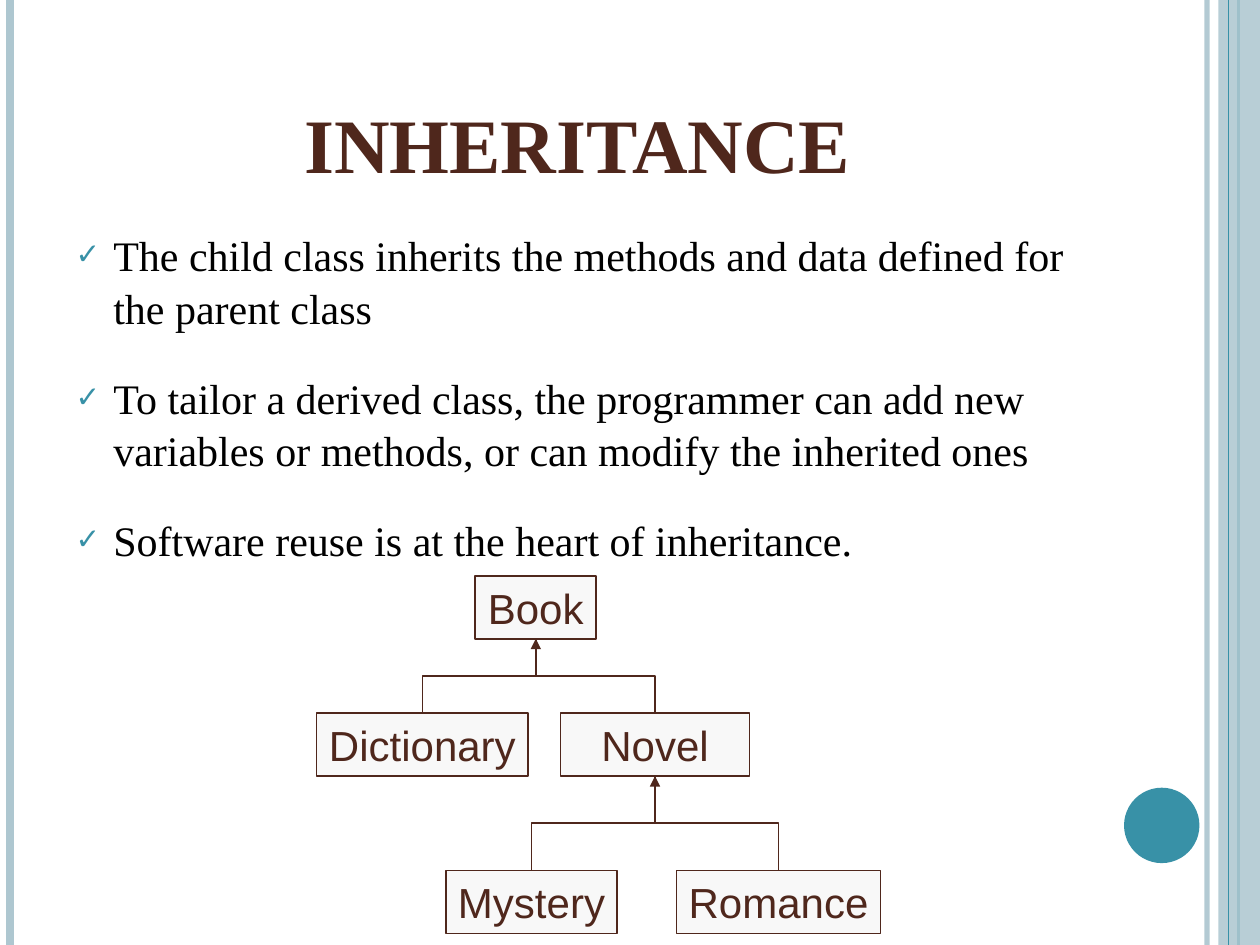
from dataclasses import dataclass

from lxml.etree import SubElement
from pptx import Presentation
from pptx.dml.color import RGBColor
from pptx.enum.shapes import MSO_CONNECTOR as Connector, MSO_SHAPE as Preset
from pptx.enum.text import MSO_ANCHOR as Anchor, PP_ALIGN as Align
from pptx.oxml.ns import qn
from pptx.util import Cm, Pt


@dataclass(frozen=True)
class Theme:
    """Colours, fonts and type sizes of the slide."""
    band: str = "AEC7D0"
    accent: str = "3891A7"
    brown: str = "4F271C"
    box: str = "F8F8F8"
    body: str = "000000"
    serif: str = "Times New Roman"
    sans: str = "Arial"
    title_size: int = 44
    text_size: int = 24


def write_text(paragraph, text, *, font, size, color, bold=False, align=Align.LEFT):
    """Add a formatted run to a paragraph."""
    paragraph.alignment = align
    run = paragraph.add_run()
    run.text = text
    run.font.name = font
    run.font.size = Pt(size)
    run.font.bold = bold
    run.font.color.rgb = RGBColor.from_string(color)


def set_alpha(properties, percent):
    """Make the colour inside a fill or line partly transparent."""
    color = next(properties.iter(qn("a:srgbClr")))
    SubElement(color, qn("a:alpha"), val=str(percent * 1000))


def place(shape, left, top, width, height):
    """Move and size a shape, in centimetres."""
    shape.left, shape.top = Cm(left), Cm(top)
    shape.width, shape.height = Cm(width), Cm(height)


class SlideBuilder:
    """Draws styled elements on the current slide."""

    def __init__(self, slide, theme):
        self.slide = slide
        self.theme = theme

    def title(self, text, *box):
        """Fill the title placeholder."""
        shape = self.slide.shapes.title
        place(shape, *box)
        shape.text_frame.vertical_anchor = Anchor.BOTTOM
        write_text(shape.text_frame.paragraphs[0], text, font=self.theme.serif,
                   size=self.theme.title_size, color=self.theme.brown,
                   bold=True, align=Align.CENTER)

    def checklist(self, items, *box):
        """Fill the body placeholder with check-marked paragraphs."""
        shape = self.slide.placeholders[1]
        place(shape, *box)
        frame = shape.text_frame
        for index, item in enumerate(items):
            paragraph = frame.add_paragraph() if index else frame.paragraphs[0]
            paragraph.space_before = Pt(21)
            paragraph.line_spacing = 1.05
            write_text(paragraph, item, font=self.theme.serif,
                       size=self.theme.text_size, color=self.theme.body)
            self.check_mark(paragraph)

    def check_mark(self, paragraph):
        """Give a paragraph a hanging check mark."""
        properties = paragraph._p.get_or_add_pPr()
        properties.set("marL", str(Cm(0.76)))
        properties.set("indent", str(Cm(-0.76)))
        color = SubElement(properties, qn("a:buClr"))
        SubElement(color, qn("a:srgbClr"), val=self.theme.accent)
        SubElement(properties, qn("a:buSzPct"), val="70000")
        SubElement(properties, qn("a:buFont"), typeface="Wingdings 2")
        properties[-1].set("typeface", self.theme.sans)
        SubElement(properties, qn("a:buChar"), char="✓")

    def shape(self, preset, *box, fill, line=None, alpha=100):
        """Add a flat preset shape."""
        shape = self.slide.shapes.add_shape(preset, *map(Cm, box))
        shape.shadow.inherit = False
        shape.fill.solid()
        shape.fill.fore_color.rgb = RGBColor.from_string(fill)
        if alpha < 100:
            set_alpha(shape._element.spPr, alpha)
        if line:
            shape.line.color.rgb = RGBColor.from_string(line)
            shape.line.width = Pt(1)
        else:
            shape.line.fill.background()
        return shape

    def class_box(self, name, *box):
        """Add a labelled class box."""
        shape = self.shape(Preset.RECTANGLE, *box, fill=self.theme.box, line=self.theme.brown)
        shape.text_frame.word_wrap = False
        shape.text_frame.vertical_anchor = Anchor.MIDDLE
        write_text(shape.text_frame.paragraphs[0], name, font=self.theme.sans,
                   size=self.theme.text_size, color=self.theme.brown, align=Align.CENTER)
        return shape

    def line(self, kind, *ends, color, width, alpha=100, arrow=False):
        """Add a connector without a shadow."""
        connector = self.slide.shapes.add_connector(kind, *ends)
        connector.line.color.rgb = RGBColor.from_string(color)
        connector.line.width = Pt(width)
        properties = connector._element.spPr
        if alpha < 100:
            set_alpha(properties, alpha)
        if arrow:
            SubElement(properties.find(qn("a:ln")), qn("a:tailEnd"), type="triangle")
        SubElement(properties, qn("a:effectLst"))
        return connector

    def stripe(self, x, color, width, alpha=100):
        """Add a vertical line over the full slide height."""
        self.line(Connector.STRAIGHT, Cm(x), 0, Cm(x), Cm(19.05),
                  color=color, width=width, alpha=alpha)

    def inherit(self, child, parent, arrow):
        """Join the top of a child to the bottom of its parent by an elbow."""
        start_x, start_y = child.left + child.width // 2, child.top
        end_x, end_y = parent.left + parent.width // 2, parent.top + parent.height
        middle_x, middle_y = (start_x + end_x) // 2, (start_y + end_y) // 2
        turn = 1 if start_x < end_x else -1
        half_x = turn * (end_y - start_y) // 2
        half_y = turn * (start_x - end_x) // 2
        connector = self.line(Connector.ELBOW, middle_x - half_x, middle_y - half_y,
                              middle_x + half_x, middle_y + half_y,
                              color=self.theme.brown, width=1, arrow=arrow)
        transform = connector._element.spPr.find(qn("a:xfrm"))
        transform.set("rot", str(turn * 90 % 360 * 60000))


def main():
    """Build and save the inheritance slide."""
    theme = Theme()
    presentation = Presentation()
    presentation.slide_width, presentation.slide_height = Cm(25.4), Cm(19.05)
    slide = presentation.slides.add_slide(presentation.slide_layouts[1])
    builder = SlideBuilder(slide, theme)

    builder.stripe(24.33, theme.band, 3, alpha=93)
    builder.stripe(0.2, theme.band, 4.5)
    builder.stripe(24.97, theme.accent, 1.5)
    builder.shape(Preset.RECTANGLE, 24.56, 0, 0.84, 19.05, fill=theme.band, alpha=87)
    builder.stripe(24.77, theme.accent, 0.75)
    builder.shape(Preset.OVAL, 22.66, 15.88, 1.52, 1.52, fill=theme.accent)

    builder.title("INHERITANCE", 1.27, 0.76, 20.75, 3.18)
    builder.checklist([
        "The child class inherits the methods and data defined for the parent class",
        "To tailor a derived class, the programmer can add new variables or methods, "
        "or can modify the inherited ones",
        "Software reuse is at the heart of inheritance.",
    ], 1.27, 4.45, 20.75, 13.54)

    height = 1.27
    places = {
        "Book": (9.58, 11.61, 2.44),
        "Novel": (11.3, 14.38, 3.81),
        "Dictionary": (6.38, 14.38, 4.27),
        "Mystery": (8.99, 17.55, 3.45),
        "Romance": (13.64, 17.55, 4.11),
    }
    boxes = {name: builder.class_box(name, *box, height) for name, box in places.items()}
    families = {"Book": ("Dictionary", "Novel"), "Novel": ("Mystery", "Romance")}
    for parent, children in families.items():
        for index, child in enumerate(children):
            builder.inherit(boxes[child], boxes[parent], arrow=index == 0)

    presentation.save("out.pptx")


if __name__ == "__main__":
    main()
